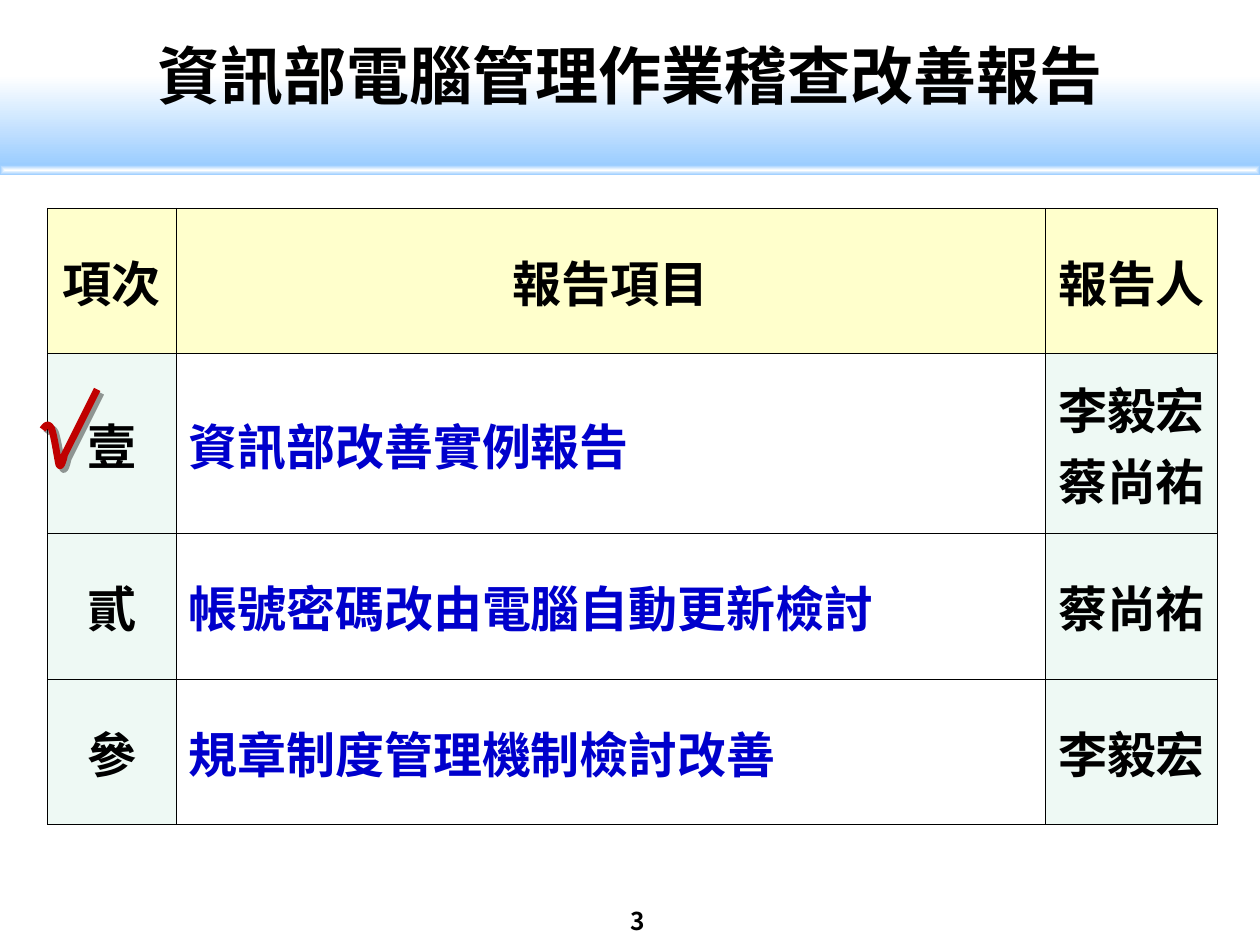
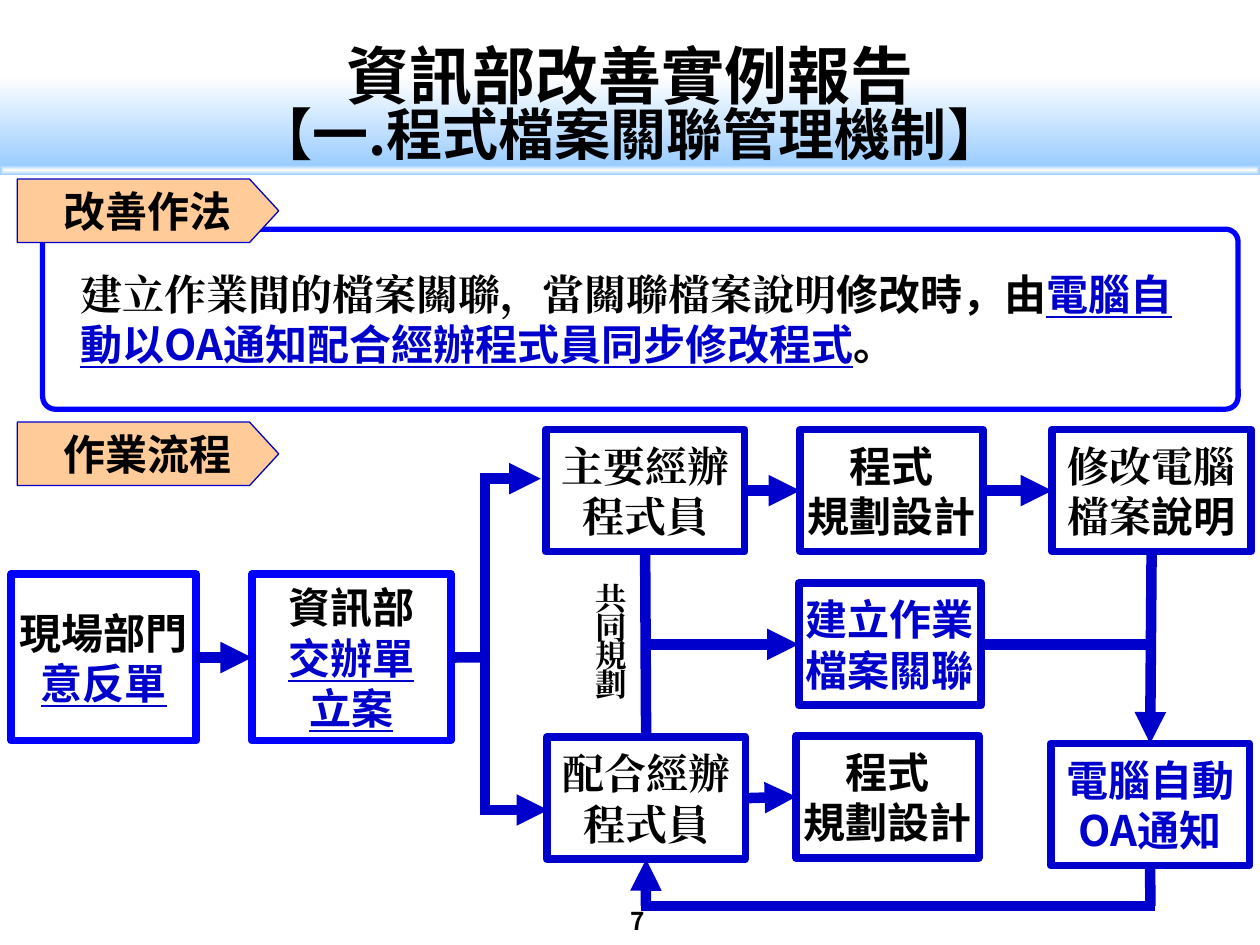
"""Build two slides of the IT department's audit improvement report."""
from dataclasses import dataclass
from typing import NamedTuple, Optional, Union

from lxml import etree
from pptx import Presentation
from pptx.dml.color import RGBColor
from pptx.enum import shapes, text
from pptx.oxml.ns import qn
from pptx.util import Cm, Pt

BLACK = RGBColor(0x00, 0x00, 0x00)
WHITE = RGBColor(0xFF, 0xFF, 0xFF)
SKY = RGBColor(0x99, 0xCC, 0xFF)
NAVY = RGBColor(0x00, 0x00, 0xCC)
BLUE = RGBColor(0x00, 0x00, 0xFF)
PEACH = RGBColor(0xFF, 0xCC, 0x99)
CREAM = RGBColor(0xFF, 0xFF, 0xCC)
MINT = RGBColor(0xEE, 0xF9, 0xF4)
RED = RGBColor(0xC0, 0x00, 0x00)
SANS, SERIF = "Noto Sans CJK SC", "Times New Roman"
CENTER, LEFT = text.PP_ALIGN.CENTER, text.PP_ALIGN.LEFT
TOP, MIDDLE = text.MSO_ANCHOR.TOP, text.MSO_ANCHOR.MIDDLE
SIDE_TOP, SIDE_LEFT, SIDE_BOTTOM, SIDE_RIGHT = range(4)
SLIDE_WIDTH = 25.4


class Box(NamedTuple):
    """Left, top, width and height in centimetres."""
    left: float
    top: float
    width: float
    height: float

    def lengths(self) -> list:
        """Return the four lengths for python-pptx."""
        return [Cm(value) for value in self]


class Run(NamedTuple):
    """A stretch of text in one style."""
    words: str
    color: RGBColor = BLACK
    underline: bool = False
    font: str = SANS


class Joint(NamedTuple):
    """The middle of one side of a step."""
    step: str
    side: int


class Point(NamedTuple):
    """A free position in centimetres."""
    x: float
    y: float


@dataclass
class Step:
    """A box in the work flow."""
    box: Box
    lines: list
    border: RGBColor = NAVY


@dataclass
class Flow:
    """A straight line between two ends."""
    start: Union[Joint, Point]
    end: Union[Joint, Point]
    arrow: bool = True


def child(parent, tag: str, **attributes: str):
    """Append a DrawingML element."""
    return etree.SubElement(parent, qn(f"a:{tag}"), attributes)


def write(frame, lines: list, size: float, align=CENTER, anchor=TOP,
          inset: tuple = (0, 0, 0, 0), wrap: bool = True,
          spacing: Optional[float] = None) -> None:
    """Fill a text frame with paragraphs made of runs."""
    frame.word_wrap = wrap
    frame.vertical_anchor = anchor
    (frame.margin_left, frame.margin_top,
     frame.margin_right, frame.margin_bottom) = map(Cm, inset)
    for index, runs in enumerate(lines):
        paragraph = frame.paragraphs[0] if index == 0 else frame.add_paragraph()
        paragraph.alignment = align
        if spacing:
            paragraph.line_spacing = spacing
        for part in runs:
            run = paragraph.add_run()
            run.text = part.words
            run.font.size, run.font.bold = Pt(size), True
            run.font.name = part.font
            run.font.color.rgb = part.color
            if part.underline:
                run.font.underline = True
            child(run.font._element, "ea", typeface=part.font)


def add_text(slide, box: Box, lines: list, size: float, **style) -> None:
    """Add a text box."""
    write(slide.shapes.add_textbox(*box.lengths()).text_frame, lines, size, **style)


def outline(shape, color: RGBColor, width: float) -> None:
    """Give a shape or connector a line with round corners."""
    shape.line.color.rgb = color
    shape.line.width = Pt(width)
    child(shape.element.spPr.find(qn("a:ln")), "round")


def add_shape(slide, preset, box: Box, fill: Optional[RGBColor] = None):
    """Add a flat preset shape without a shadow."""
    shape = slide.shapes.add_shape(preset, *box.lengths())
    shape.shadow.inherit = False
    if fill is None:
        shape.fill.background()
    else:
        shape.fill.solid()
        shape.fill.fore_color.rgb = fill
    return shape


def add_band(slide, box: Box, from_center: bool) -> None:
    """Add a white to sky-blue band."""
    band = add_shape(slide, shapes.MSO_SHAPE.RECTANGLE, box)
    band.line.fill.background()
    band.fill.gradient()
    for stop, color, place in zip(band.fill.gradient_stops, (WHITE, SKY), (0, 1)):
        stop.color.rgb, stop.position = color, place
    band.fill.gradient_angle = 270
    if from_center:
        gradient = band.element.spPr.find(qn("a:gradFill"))
        gradient.remove(gradient.find(qn("a:lin")))
        center = dict.fromkeys("ltrb", "50000")
        child(child(gradient, "path", path="rect"), "fillToRect", **center)


def new_slide(deck, title: str, number: str, subtitle: str = ""):
    """Add a slide with bands, titles and page number."""
    slide = deck.slides.add_slide(deck.slide_layouts[6])
    add_band(slide, Box(0, 1.52, SLIDE_WIDTH, 1.85), False)
    add_band(slide, Box(0, 3.33, SLIDE_WIDTH, 0.2), True)
    add_text(slide, Box(11.66, 18.14, 2.39, 0.61), [[Run(number)]], 14,
             inset=(0.25, 0.13, 0.25, 0.13))
    add_text(slide, Box(0, 0.74, SLIDE_WIDTH, 1.52), [[Run(title)]], 36)
    if subtitle:
        add_text(slide, Box(0, 2.01, SLIDE_WIDTH, 1.35), [[Run(subtitle)]], 32)
    return slide


def add_agenda(slide) -> None:
    """Add the table of report items."""
    rows = [
        ("項次", "報告項目", "報告人"),
        ("壹", "資訊部改善實例報告", "李毅宏\n蔡尚祐"),
        ("貳", "帳號密碼改由電腦自動更新檢討", "蔡尚祐"),
        ("參", "規章制度管理機制檢討改善", "李毅宏"),
    ]
    widths, heights = (2.59, 17.52, 3.48), (2.93, 3.63, 2.93, 2.93)
    box = Box(0.96, 4.2, sum(widths), sum(heights))
    table = slide.shapes.add_table(len(rows), len(widths), *box.lengths()).table
    table.first_row = table.horz_banding = False
    for column, width in zip(table.columns, widths):
        column.width = Cm(width)
    for y, (row, height) in enumerate(zip(rows, heights)):
        table.rows[y].height = Cm(height)
        for x, words in enumerate(row):
            cell = table.cell(y, x)
            topic = y > 0 and x == 1
            lines = [[Run(line, NAVY if topic else BLACK)] for line in words.split("\n")]
            write(cell.text_frame, lines, 28, LEFT if topic else CENTER)
            cell.margin_left = cell.margin_right = Cm(0.25)
            cell.vertical_anchor = MIDDLE
            properties = cell._tc.get_or_add_tcPr()
            for edge in ("lnL", "lnR", "lnT", "lnB"):
                border = child(properties, edge, w=str(Pt(0.45)))
                child(child(border, "solidFill"), "srgbClr", val=str(BLACK))
            cell.fill.solid()
            cell.fill.fore_color.rgb = CREAM if y == 0 else WHITE if topic else MINT


def bezier(corners: list, steps: int = 8) -> list:
    """Return points along a cubic curve, leaving out its start."""
    points = []
    for index in range(1, steps + 1):
        t = index / steps
        weights = ((1 - t) ** 3, 3 * t * (1 - t) ** 2, 3 * t * t * (1 - t), t ** 3)
        points.append(tuple(Cm(sum(w * c[axis] for w, c in zip(weights, corners)))
                            for axis in (0, 1)))
    return points


def add_check_mark(slide) -> None:
    """Tick the current report item."""
    curve = [(0.86, 8.66), (0.91, 8.59), (0.97, 8.51), (1.04, 8.64), (1.09, 8.76),
             (1.17, 9.3), (1.19, 9.37), (1.24, 9.47), (1.3, 9.17), (1.3, 9.17)]
    builder = slide.shapes.build_freeform(Cm(0.86), Cm(8.66))
    points = [point for i in (0, 3, 6) for point in bezier(curve[i:i + 4])]
    builder.add_line_segments(points + [(Cm(1.96), Cm(7.85))], close=False)
    tick = builder.convert_to_shape()
    tick.fill.background()
    outline(tick, RED, 4)
    tick.shadow.inherit = False
    shadow = child(tick.element.spPr.find(qn("a:effectLst")), "outerShdw", blurRad="0",
                   dist=str(Pt(3)), dir="2700000", algn="tl", rotWithShape="0")
    child(child(shadow, "srgbClr", val=str(BLACK)), "alpha", val="40000")


def add_heading(slide, words: str, top: float) -> None:
    """Add a pointed section heading."""
    heading = add_shape(slide, shapes.MSO_SHAPE.PENTAGON, Box(0.35, top, 5.27, 1.28), PEACH)
    heading.adjustments[0] = 0.46
    outline(heading, NAVY, 0.75)
    write(heading.text_frame, [[Run(words)]], 24, inset=(0.54, 0.13, 0.25, 0.13))


def add_step(slide, step: Step):
    """Add one box of the flow."""
    shape = add_shape(slide, shapes.MSO_SHAPE.RECTANGLE, step.box)
    outline(shape, step.border, 4.5)
    write(shape.text_frame, step.lines, 24, anchor=MIDDLE)
    return shape


def add_flow(slide, flow: Flow, drawn: dict) -> None:
    """Add one line of the flow, joined to steps where it meets them."""
    ends = [(Cm(end.x), Cm(end.y)) if isinstance(end, Point) else (0, 0)
            for end in (flow.start, flow.end)]
    line = slide.shapes.add_connector(shapes.MSO_CONNECTOR.STRAIGHT, *ends[0], *ends[1])
    for end, connect in ((flow.start, line.begin_connect), (flow.end, line.end_connect)):
        if isinstance(end, Joint):
            connect(drawn[end.step], end.side)
    outline(line, NAVY, 6)
    if flow.arrow:
        child(line.element.spPr.find(qn("a:ln")), "tailEnd", type="triangle")
    child(line.element.spPr, "effectLst")


def add_process(slide) -> None:
    """Add the work flow with its steps and lines."""
    wide, narrow, tall = 4.01, 3.68, 2.46
    planning = [[Run("程式")], [Run("規劃設計")]]
    steps = {
        "site": Step(Box(0.23, 11.58, 3.73, 3.35),
                     [[Run("現場部門")], [Run("意反單", NAVY, True)]], BLUE),
        "it": Step(Box(5.08, 11.58, wide, 3.35),
                   [[Run("資訊部")], [Run("交辦單", NAVY, True)],
                    [Run("立案", NAVY, True)]], BLUE),
        "main": Step(Box(11, 8.66, wide, tall), [[Run("主要經辦程式員", font=SERIF)]]),
        "main plan": Step(Box(16.13, 8.66, narrow, tall), planning),
        "edit": Step(Box(21.21, 8.66, wide, tall),
                     [[Run("修改電腦檔案", font=SERIF), Run("說明")]]),
        "relate": Step(Box(16.1, 11.76, narrow, tall), [[Run("建立作業檔案關聯", NAVY)]]),
        "support": Step(Box(11.02, 14.86, wide, tall), [[Run("配合經辦程式員", font=SERIF)]]),
        "support plan": Step(Box(16.05, 14.83, narrow, tall), planning),
        "notify": Step(Box(21.18, 14.99, wide, tall), [[Run("電腦自動OA通知", NAVY)]]),
    }
    drawn = {name: add_step(slide, step) for name, step in steps.items()}
    trunk, fork_top, fork_bottom = 9.78, 9.65, 16.33
    shared, back_right, back_bottom = 13.02, 23.19, 18.26
    across = [("site", "it"), ("main", "main plan"), ("main plan", "edit"),
              ("support", "support plan")]
    flows = [Flow(Joint(a, SIDE_RIGHT), Joint(b, SIDE_LEFT)) for a, b in across]
    flows += [
        Flow(Joint("it", SIDE_RIGHT), Point(trunk, 13.25), False),
        Flow(Point(trunk, fork_top), Point(trunk, fork_bottom), False),
        Flow(Point(trunk - 0.1, fork_top), Point(10.9, fork_top)),
        Flow(Point(trunk - 0.1, fork_bottom), Point(11.05, fork_bottom)),
        Flow(Joint("main", SIDE_BOTTOM), Joint("support", SIDE_TOP), False),
        Flow(Point(shared, 12.99), Joint("relate", SIDE_LEFT)),
        Flow(Joint("relate", SIDE_RIGHT), Point(back_right, 12.99), False),
        Flow(Joint("edit", SIDE_BOTTOM), Joint("notify", SIDE_TOP)),
        Flow(Joint("notify", SIDE_BOTTOM), Point(back_right, back_bottom), False),
        Flow(Point(back_right + 0.1, back_bottom), Point(shared - 0.1, back_bottom), False),
        Flow(Point(shared, back_bottom), Joint("support", SIDE_BOTTOM)),
    ]
    for flow in flows:
        add_flow(slide, flow, drawn)
    add_text(slide, Box(11.76, 11.73, 1.14, 2.54), [[Run(c, font=SERIF)] for c in "共同規劃"],
             18, align=LEFT, inset=(0.25, 0.13, 0.25, 0.13), wrap=False, spacing=0.75)


def add_method(slide) -> None:
    """Add the framed description of the improvement."""
    frame = add_shape(slide, shapes.MSO_SHAPE.ROUNDED_RECTANGLE, Box(0.86, 4.62, 24.1, 3.63))
    frame.adjustments[0] = 0.07
    outline(frame, BLUE, 3)
    add_text(slide, Box(1.37, 5.28, 22.94, 2.29), [[
        Run("建立作業間的檔案關聯，當關聯檔案說明", font=SERIF),
        Run("修改時，由"),
        Run("電腦自動以OA通知配合經辦程式員同步修改程式", NAVY, True),
        Run("。"),
    ]], 24, align=LEFT, inset=(0.25, 0.13, 0.25, 0.13))


def main() -> None:
    """Build and save the deck."""
    deck = Presentation()
    deck.slide_width, deck.slide_height = Cm(SLIDE_WIDTH), Cm(19.05)
    agenda = new_slide(deck, "資訊部電腦管理作業稽查改善報告", "3")
    add_agenda(agenda)
    add_check_mark(agenda)
    case = new_slide(deck, "資訊部改善實例報告", "7", "【一.程式檔案關聯管理機制】")
    add_method(case)
    add_heading(case, "改善作法", 3.61)
    add_heading(case, "作業流程", 8.51)
    add_process(case)
    deck.save("out.pptx")


if __name__ == "__main__":
    main()
